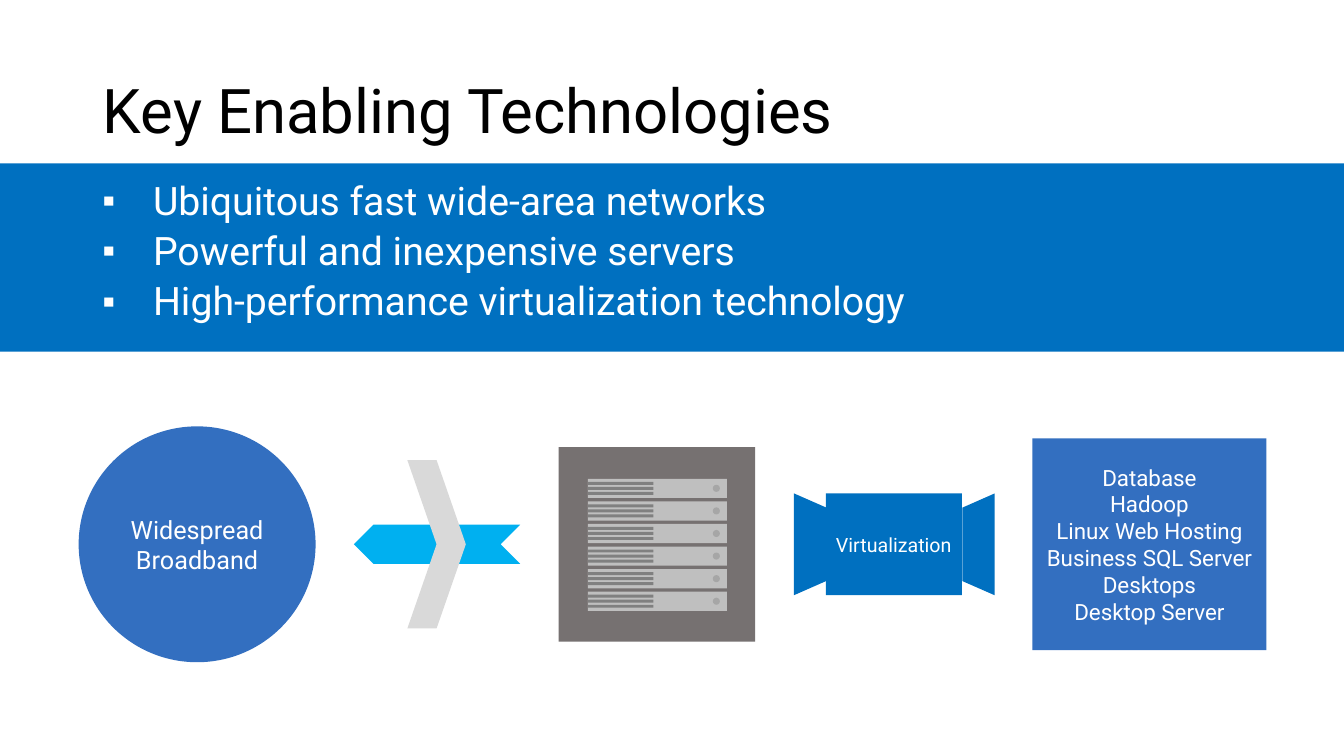
from lxml import etree
from pptx import Presentation
from pptx.dml.color import RGBColor
from pptx.enum.shapes import MSO_SHAPE
from pptx.enum.text import MSO_ANCHOR, PP_ALIGN
from pptx.oxml.ns import qn
from pptx.util import Inches, Pt

RECT, OVAL = MSO_SHAPE.RECTANGLE, MSO_SHAPE.OVAL
CHEVRON, TRAPEZOID = MSO_SHAPE.CHEVRON, MSO_SHAPE.TRAPEZOID
MIDDLE, LEFT, CENTER = MSO_ANCHOR.MIDDLE, PP_ALIGN.LEFT, PP_ALIGN.CENTER

TITLE = "Key Enabling Technologies"
POINTS = ["Ubiquitous fast wide-area networks",
          "Powerful and inexpensive servers",
          "High-performance virtualization technology"]
SOURCE = ["Widespread Broadband"]
ENGINE = ["Virtualization"]
SYSTEMS = ["Database", "Hadoop", "Linux Web Hosting",
           "Business SQL Server", "Desktops", "Desktop Server"]

FONT = "Roboto"
BLUE, ROYAL, SKY = "0070C0", "336FC0", "00B0F0"
WHITE, BLACK = "FFFFFF", "000000"
PALE, RACK, UNIT, LAMP, VENT = "D9D9D9", "767171", "BFBFBF", "A6A6A6", "808080"

# The grid has 1333 columns and 750 rows, 100 to the inch.
COLS, ROWS = 1333, 750
MID = 540  # row on which the diagram is centred
UNITS, PITCH, VENTS = 6, 22.4, 3

# shape, left, width, height, turn, fill, size, lines
DIAGRAM = [
    (CHEVRON, 351, 165, 39, 180, SKY, 0, []),
    (CHEVRON, 404, 58, 167, 0, PALE, 0, []),
    (OVAL, 78, 235, 234, 0, ROYAL, 18, SOURCE),
    (RECT, 554, 195, 193, 0, RACK, 0, []),
    (RECT, 819, 135, 101, 0, BLUE, 14, ENGINE),
    (TRAPEZOID, 753, 101, 32, 90, BLUE, 0, []),
    (TRAPEZOID, 920, 101, 32, 270, BLUE, 0, []),
    (RECT, 1024, 232, 210, 0, ROYAL, 16, SYSTEMS),
]


def grid(n):
    return Inches(n / 100)


def color(code):
    return RGBColor.from_string(code)


def write(frame, lines, size, code, align):
    frame.word_wrap = True
    frame.vertical_anchor = MIDDLE
    for i, line in enumerate(lines):
        par = frame.paragraphs[0] if i == 0 else frame.add_paragraph()
        par.text = line
        par.alignment = align
        par.font.name = FONT
        par.font.size = Pt(size)
        par.font.color.rgb = color(code)


def draw(kind, x, y, w, h, fill):
    shape = slide.shapes.add_shape(kind, grid(x), grid(y), grid(w), grid(h))
    shape.shadow.inherit = False
    shape.fill.solid()
    shape.fill.fore_color.rgb = color(fill)
    shape.line.fill.background()
    return shape


def bullet(par):
    props = par._p.get_or_add_pPr()
    props.set("marL", str(Inches(0.5)))
    props.set("indent", str(-Inches(0.5)))
    etree.SubElement(props, qn("a:buSzPct")).set("val", "80000")
    etree.SubElement(props, qn("a:buFont")).set("typeface", FONT)
    etree.SubElement(props, qn("a:buChar")).set("char", "▪")


deck = Presentation()
deck.slide_width, deck.slide_height = grid(COLS), grid(ROWS)
slide = deck.slides.add_slide(deck.slide_layouts[5])

head = slide.shapes.title
head.left, head.top, head.width, head.height = map(grid, (92, 40, 1150, 145))
write(head.text_frame, [TITLE], 44, BLACK, LEFT)
head.text_frame.paragraphs[0].line_spacing = 0.9

draw(RECT, 0, 162, COLS, 187, BLUE)
body = slide.shapes.add_textbox(*map(grid, (92, 157, 1163, 187))).text_frame
write(body, POINTS, 28, WHITE, LEFT)
for i, par in enumerate(body.paragraphs):
    par.line_spacing = 0.9
    par.space_before = Pt(5.6 if i else 0)
    bullet(par)

for kind, x, w, h, turn, fill, size, lines in DIAGRAM:
    shape = draw(kind, x, MID - h / 2, w, h, fill)
    shape.rotation = turn
    if kind == TRAPEZOID:
        shape.adjustments[0] = 0.44
    if lines:
        frame = shape.text_frame
        frame.margin_left = frame.margin_right = grid(5)
        write(frame, lines, size, WHITE, CENTER)

for row in range(UNITS):
    top = 475 + row * PITCH
    draw(RECT, 583, top, 138, 19, UNIT)
    draw(OVAL, 707, top + 6, 7, 7, LAMP)
    for i in range(VENTS):
        draw(RECT, 583, top + 3 + i * 5, 65, 3, VENT)

deck.save("out.pptx")
